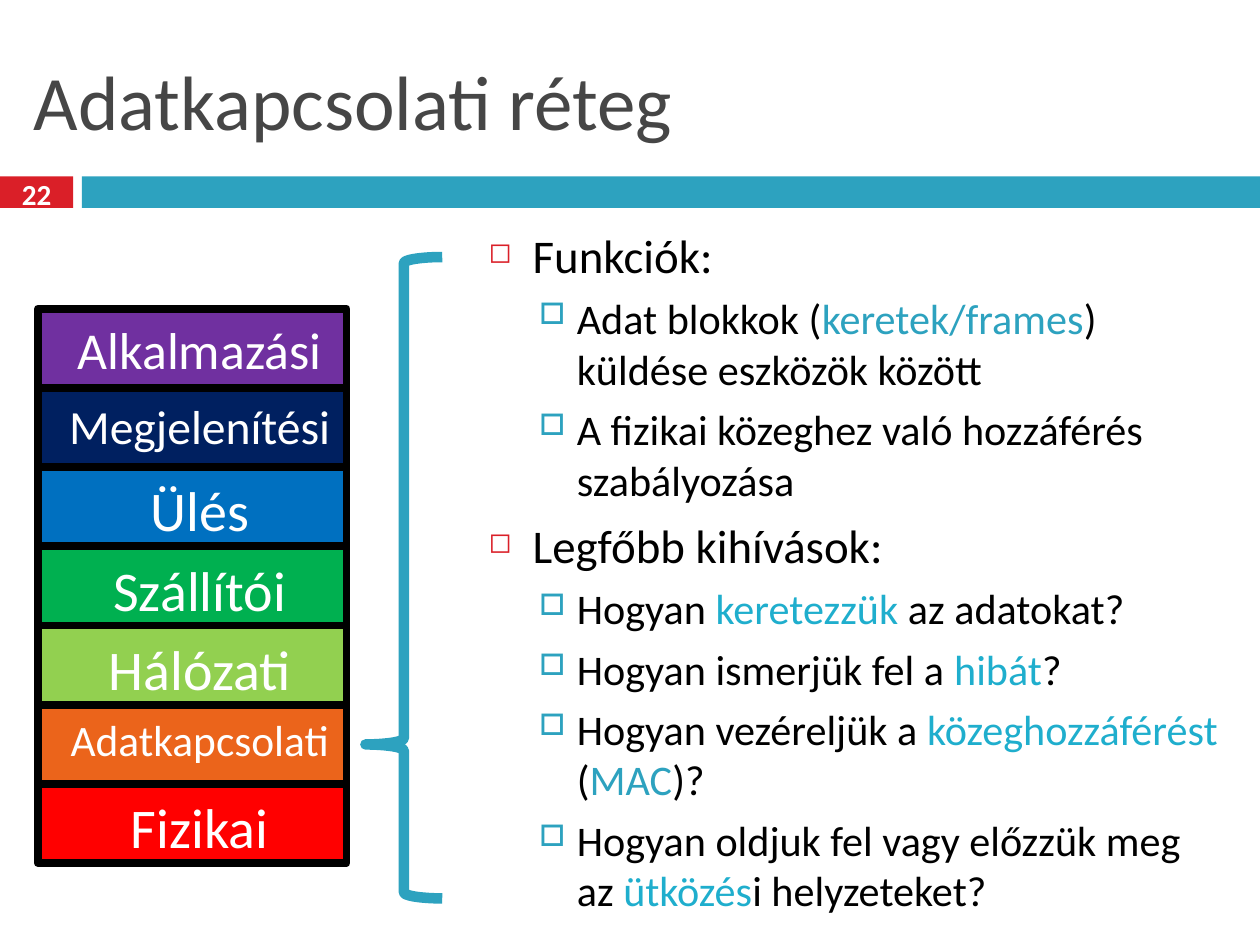
"""Build the data link layer slide: layer stack, brace and bullet list."""
from dataclasses import dataclass
from typing import NamedTuple

from lxml.etree import SubElement
from pptx import Presentation
from pptx.dml.color import RGBColor
from pptx.enum.shapes import MSO_SHAPE
from pptx.enum.text import MSO_ANCHOR, PP_ALIGN
from pptx.oxml.ns import qn
from pptx.util import Inches, Pt


@dataclass(frozen=True)
class Theme:
    font: str = "Calibri"
    title: str = "464646"
    text: str = "000000"
    light: str = "FFFFFF"
    teal: str = "2DA2BF"
    cyan: str = "1FAECD"
    red: str = "DA1F28"
    title_size: float = 44
    number_size: float = 16.6
    layer_line: float = 4.5
    brace_line: float = 6


THEME = Theme()


class Box(NamedTuple):
    left: float
    top: float
    width: float
    height: float


class Layer(NamedTuple):
    name: str
    fill: str
    size: float


class Level(NamedTuple):
    margin: float
    hanging: float
    space_before: float
    size: float
    bullet: str
    bullet_color: str
    bullet_percent: int


class Run(NamedTuple):
    text: str
    color: str = THEME.text


class Item(NamedTuple):
    level: Level
    runs: list[Run]


TOPIC = Level(0.35, 0.35, 7, 26.8, "◻", THEME.red, 60)
DETAIL = Level(0.7, 0.3, 5.5, 24.1, "□", THEME.teal, 70)

LAYERS = [
    Layer("Alkalmazási", "7030A0", 29.6),
    Layer("Megjelenítési", "002060", 27.2),
    Layer("Ülés", "0070C0", 32),
    Layer("Szállítói", "00B050", 32),
    Layer("Hálózati", "92D050", 32),
    Layer("Adatkapcsolati", "EB641B", 24.8),
    Layer("Fizikai", "FF0000", 32),
]
STACK = Box(0.3, 2.45, 2.45, 4.4)

ITEMS = [
    Item(TOPIC, [Run("Funkciók:")]),
    Item(DETAIL, [Run("Adat blokkok ("), Run("keretek/frames", THEME.teal),
                  Run(") küldése eszközök között")]),
    Item(DETAIL, [Run("A fizikai közeghez való hozzáférés szabályozása")]),
    Item(TOPIC, [Run("Legfőbb kihívások:")]),
    Item(DETAIL, [Run("Hogyan "), Run("keretezzük", THEME.cyan), Run(" az adatokat?")]),
    Item(DETAIL, [Run("Hogyan ismerjük fel a "), Run("hibát", THEME.cyan), Run("?")]),
    Item(DETAIL, [Run("Hogyan vezéreljük a "), Run("közeghozzáférést ", THEME.cyan),
                  Run("("), Run("MAC", THEME.teal), Run(")?")]),
    Item(DETAIL, [Run("Hogyan oldjuk fel vagy előzzük meg az "),
                  Run("ütközés", THEME.cyan), Run("i helyzeteket?")]),
]


def rgb(color: str) -> RGBColor:
    return RGBColor.from_string(color)


def set_font(paragraph, size: float, color: str, bold: bool = False) -> None:
    font = paragraph.font
    font.name, font.size, font.bold = THEME.font, Pt(size), bold
    font.color.rgb = rgb(color)


def add_shape(slide, kind: MSO_SHAPE, box: Box, fill: str | None = None,
              line: str | None = None, line_width: float = 0):
    shape = slide.shapes.add_shape(kind, *map(Inches, box))
    shape.shadow.inherit = False
    if fill:
        shape.fill.solid()
        shape.fill.fore_color.rgb = rgb(fill)
    else:
        shape.fill.background()
    if line:
        shape.line.color.rgb = rgb(line)
        shape.line.width = Pt(line_width)
    else:
        shape.line.fill.background()
    return shape


def add_text_frame(slide, box: Box, anchor: MSO_ANCHOR):
    frame = slide.shapes.add_textbox(*map(Inches, box)).text_frame
    frame.word_wrap = True
    frame.vertical_anchor = anchor
    return frame


def add_layer(slide, layer: Layer, box: Box) -> None:
    shape = add_shape(slide, MSO_SHAPE.RECTANGLE, box, layer.fill,
                      THEME.text, THEME.layer_line)
    frame = shape.text_frame
    frame.vertical_anchor = MSO_ANCHOR.TOP
    frame.margin_left, frame.margin_top = Inches(0.22), Inches(0.07)
    paragraph = frame.paragraphs[0]
    paragraph.text = layer.name
    paragraph.alignment = PP_ALIGN.CENTER
    set_font(paragraph, layer.size, THEME.light)


def set_bullet(paragraph, level: Level) -> None:
    properties = paragraph._p.get_or_add_pPr()
    properties.set("marL", str(Inches(level.margin)))
    properties.set("indent", str(-Inches(level.hanging)))
    color = SubElement(properties, qn("a:buClr"))
    SubElement(color, qn("a:srgbClr"), val=level.bullet_color)
    SubElement(properties, qn("a:buSzPct"), val=str(level.bullet_percent * 1000))
    SubElement(properties, qn("a:buChar"), char=level.bullet)


def add_item(paragraph, item: Item) -> None:
    level = item.level
    paragraph.level = 0 if level is TOPIC else 1
    paragraph.space_before = Pt(level.space_before)
    set_bullet(paragraph, level)
    set_font(paragraph, level.size, THEME.text)
    for part in item.runs:
        run = paragraph.add_run()
        run.text = part.text
        run.font.color.rgb = rgb(part.color)


def add_header(slide) -> None:
    add_shape(slide, MSO_SHAPE.RECTANGLE, Box(0, 1.4, 0.58, 0.25), THEME.red)
    add_shape(slide, MSO_SHAPE.RECTANGLE, Box(0.65, 1.4, 9.35, 0.25), THEME.teal)
    title = add_text_frame(slide, Box(0.17, 0.25, 9.67, 1.08), MSO_ANCHOR.MIDDLE).paragraphs[0]
    title.text = "Adatkapcsolati réteg"
    set_font(title, THEME.title_size, THEME.title)
    frame = add_text_frame(slide, Box(0, 1.37, 0.58, 0.33), MSO_ANCHOR.MIDDLE)
    frame.margin_left = frame.margin_right = 0
    number = frame.paragraphs[0]
    number.text = "22"
    number.alignment = PP_ALIGN.CENTER
    set_font(number, THEME.number_size, THEME.light, bold=True)


def main() -> None:
    presentation = Presentation()
    presentation.slide_width, presentation.slide_height = Inches(10), Inches(7.5)
    slide = presentation.slides.add_slide(presentation.slide_layouts[6])
    add_header(slide)

    body = add_text_frame(slide, Box(3.78, 1.75, 6.06, 5.58), MSO_ANCHOR.TOP)
    for index, item in enumerate(ITEMS):
        add_item(body.add_paragraph() if index else body.paragraphs[0], item)

    height = STACK.height / len(LAYERS)
    for index, layer in enumerate(LAYERS):
        add_layer(slide, layer, STACK._replace(top=STACK.top + index * height, height=height))

    brace = add_shape(slide, MSO_SHAPE.LEFT_BRACE, Box(2.9, 2.04, 0.61, 5.09),
                      line=THEME.teal, line_width=THEME.brace_line)
    brace.adjustments[0], brace.adjustments[1] = 0.08, 0.76
    presentation.save("out.pptx")


if __name__ == "__main__":
    main()
